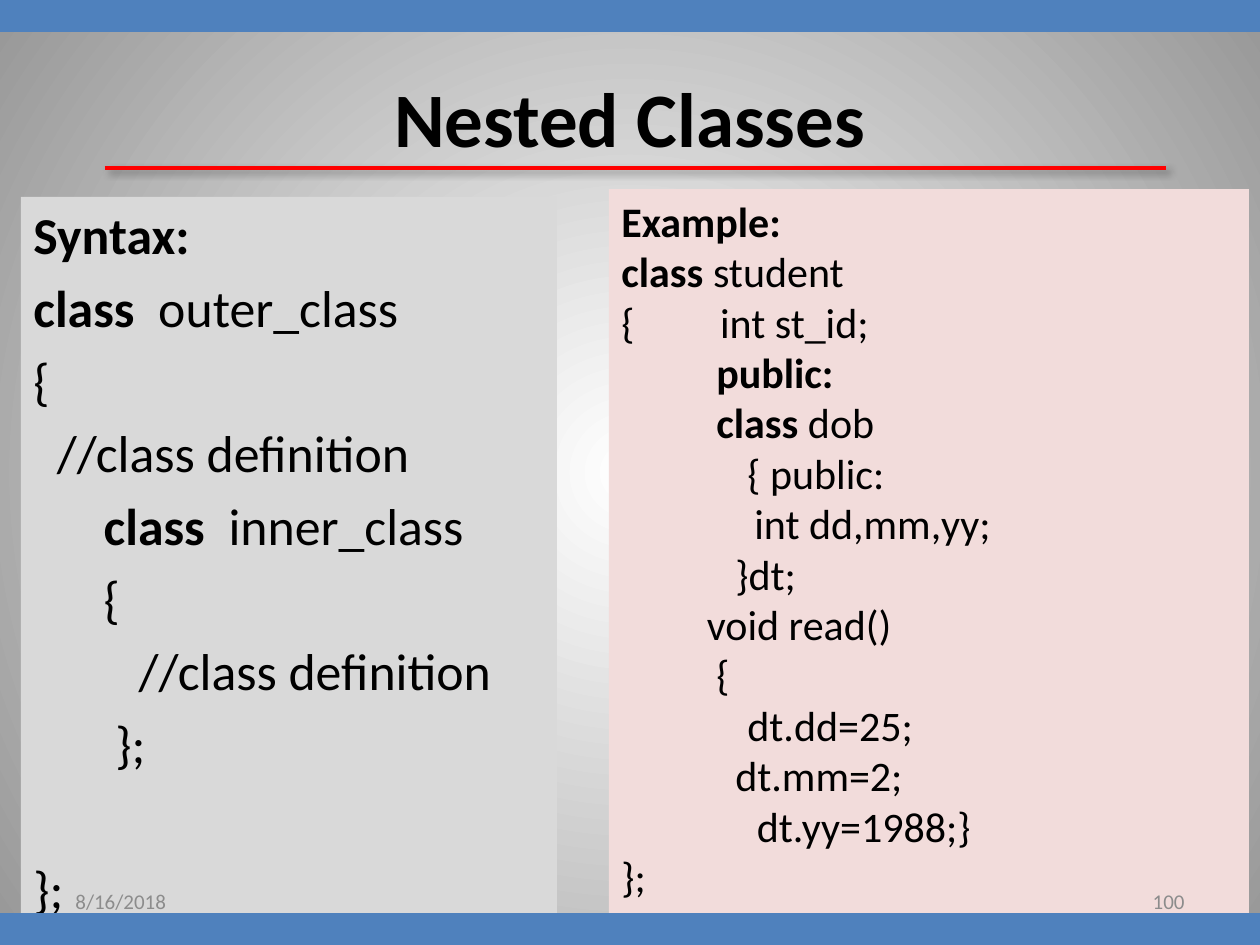
from lxml import etree
from pptx import Presentation
from pptx.dml.color import RGBColor
from pptx.enum.shapes import MSO_CONNECTOR, MSO_SHAPE
from pptx.enum.text import MSO_ANCHOR, PP_ALIGN
from pptx.oxml import parse_xml
from pptx.oxml.ns import nsdecls, qn
from pptx.util import Pt

PX = 914400 / 126
W, H, BAR, TAB = 1260, 945, 32, 126


def rgb(value):
    return RGBColor.from_string(value)


def write(sp, lines, size, color="000000", align=PP_ALIGN.LEFT,
          anchor=MSO_ANCHOR.TOP, gap=0):
    """Fill a shape with lines; text between ** marks is bold."""
    tf = sp.text_frame
    tf.word_wrap = True
    tf.vertical_anchor = anchor
    for i, line in enumerate(lines):
        p = tf.paragraphs[0] if i == 0 else tf.add_paragraph()
        p.alignment = align
        p.space_before = Pt(gap if i else 0)
        if "\t" in line:
            tabs = etree.SubElement(p._p.get_or_add_pPr(), qn("a:tabLst"))
            etree.SubElement(tabs, qn("a:tab"), pos=str(round(TAB * PX)), algn="l")
        p.font.size = Pt(size)
        p.font.name = "Calibri"
        p.font.color.rgb = rgb(color)
        for j, part in enumerate(line.split("**")):
            if part:
                r = p.add_run()
                r.text = part
                r.font.bold = j % 2 == 1


prs = Presentation()
prs.slide_width, prs.slide_height = round(W * PX), round(H * PX)
s = prs.slides.add_slide(prs.slide_layouts[6])

# Radial background
fill = s.background.fill
fill.gradient()
for stop, color, pos in zip(fill.gradient_stops, ("FFFFFF", "979797"), (0, 1)):
    stop.color.rgb = rgb(color)
    stop.position = pos
grad = s.background._cSld.find(".//" + qn("a:gradFill"))
lin = grad.find(qn("a:lin"))
grad.replace(lin, parse_xml(
    f'<a:path {nsdecls("a")} path="circle">'
    '<a:fillToRect l="50000" t="50000" r="50000" b="50000"/></a:path>'))

syntax = [
    "**Syntax:**",
    "**class**  outer_class",
    "{",
    "  //class definition",
    "      **class**  inner_class",
    "      {",
    "         //class definition",
    "       };",
    "",
    "};",
]
example = [
    "**Example:**",
    "**class** student",
    "{         int st_id;",
    "          **public:**",
    "          **class** dob",
    "\t{ public:",
    "              int dd,mm,yy;",
    "            }dt;",
    "         void read()",
    "          {",
    "\tdt.dd=25;",
    "            dt.mm=2;",
    "\t dt.yy=1988;}",
    "};",
]

# Code panels, then the top and bottom bars
for box, color, lines, size, gap in [
    ((21, 197, 536, 717), "D9D9D9", syntax, 29.6, 6),
    ((609, 189, 640, 726), "F2DCDB", example, 24, 0),
    ((0, 0, W, BAR), "4F81BD", [], 12, 0),
    ((0, H - BAR, W, BAR), "4F81BD", [], 12, 0),
]:
    sp = s.shapes.add_shape(MSO_SHAPE.RECTANGLE, *(round(v * PX) for v in box))
    sp.shadow.inherit = False
    sp.fill.solid()
    sp.fill.fore_color.rgb = rgb(color)
    sp.line.fill.background()
    write(sp, lines, size, gap=gap)

# Title rule with a soft shadow
rule = s.shapes.add_connector(
    MSO_CONNECTOR.STRAIGHT, *(round(v * PX) for v in (105, 168, 1166, 168)))
rule.line.color.rgb = rgb("FF0000")
rule.line.width = Pt(2)
effects = etree.SubElement(rule._element.spPr, qn("a:effectLst"))
shadow = etree.SubElement(effects, qn("a:outerShdw"), blurRad="50800",
                          dist="38100", dir="2700000", rotWithShape="0")
black = etree.SubElement(shadow, qn("a:srgbClr"), val="000000")
etree.SubElement(black, qn("a:alpha"), val="40000")

# Title, date and slide number
for box, text, size, color, align in [
    ((63, 38, 1134, 158), "**Nested Classes**", 44, "000000", PP_ALIGN.CENTER),
    ((63, 876, 294, 50), "8/16/2018", 12, "8C8C8C", PP_ALIGN.LEFT),
    ((903, 876, 294, 50), "100", 12, "8C8C8C", PP_ALIGN.RIGHT),
]:
    sp = s.shapes.add_textbox(*(round(v * PX) for v in box))
    write(sp, [text], size, color, align, MSO_ANCHOR.MIDDLE)

prs.save("out.pptx")
